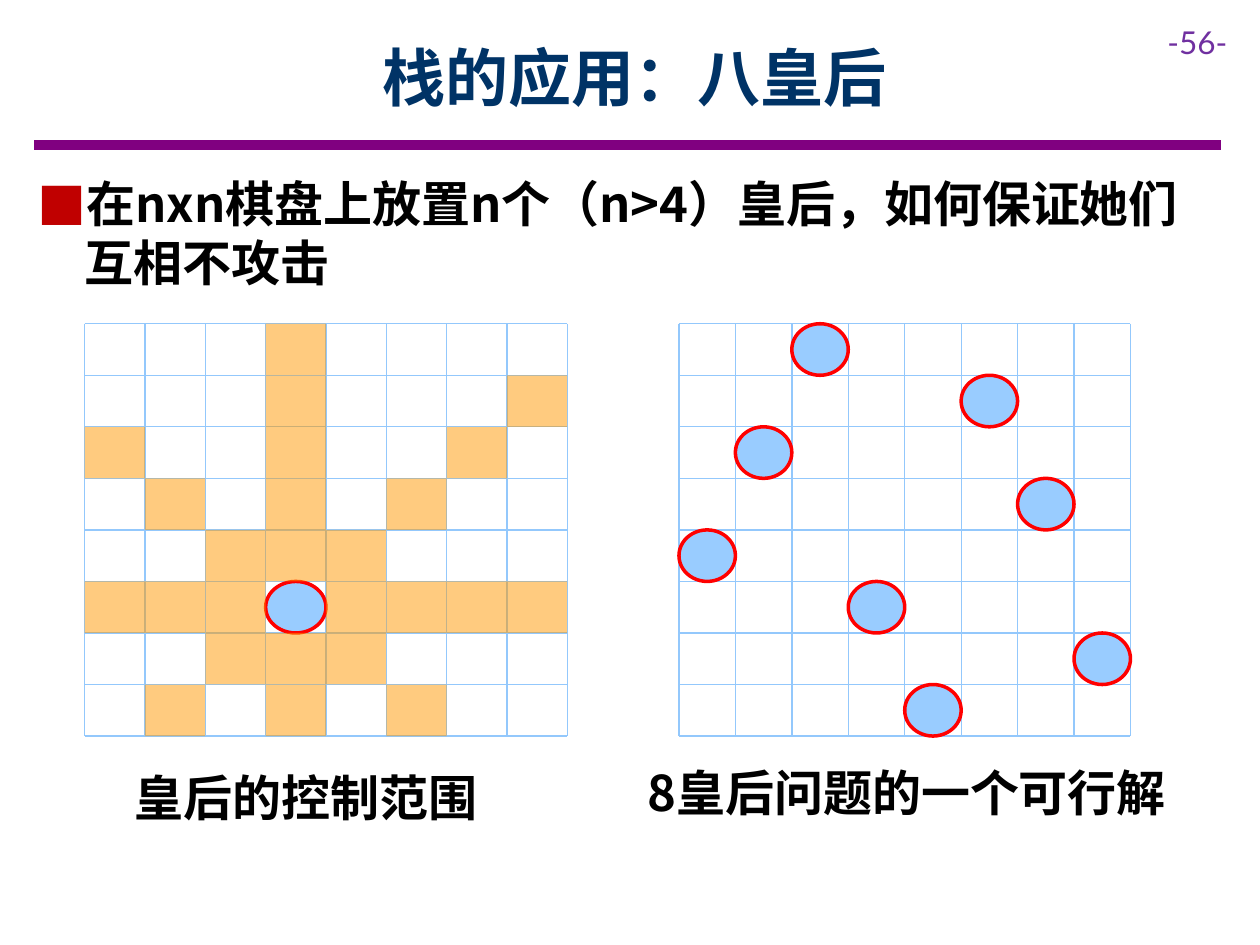
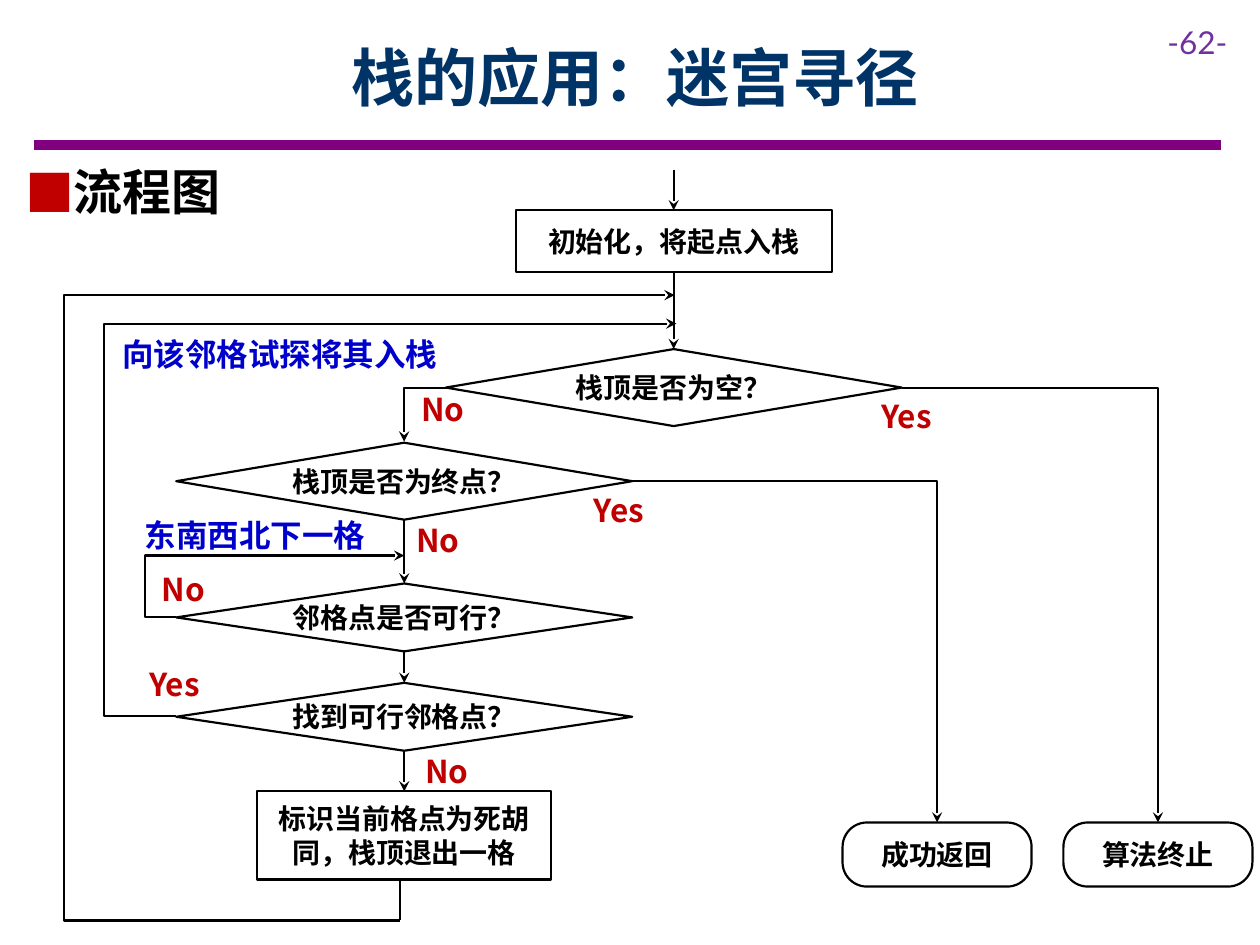
from pptx import Presentation
from pptx.dml.color import RGBColor as RGB
from pptx.enum.shapes import MSO_CONNECTOR as Line, MSO_SHAPE as Form
from pptx.enum.text import MSO_ANCHOR as Anchor, PP_ALIGN as Align
from pptx.oxml.ns import qn
from pptx.util import Pt
from lxml.etree import SubElement

CJK, LATIN = "Noto Sans CJK SC", "Lato"
BLACK, NAVY, BLUE = RGB(0, 0, 0), RGB(0, 0x33, 0x66), RGB(0, 0, 0xCC)
PURPLE, VIOLET = RGB(0x80, 0, 0x80), RGB(0x70, 0x30, 0xA0)
CRIMSON, RED = RGB(0xC0, 0, 0), RGB(0xFF, 0, 0)
GRID, SKY = RGB(0x93, 0xC8, 0xFC), RGB(0x99, 0xCC, 0xFF)
ORANGE = RGB(0xFF, 0x99, 0)

# Queens board: left, top, cell width, cell height
SIZE = 8
REACH = (48.4, 185, 34.47, 29.45)
SOLVED = (388, 185, 32.25, 29.45)
QUEEN = (3, 5)
COLUMNS = [2, 5, 1, 6, 0, 3, 7, 4]
CAPTIONS = [
    ("皇后的控制范围", 70, 435, 236, 41),
    ("8皇后问题的一个可行解", 363, 432, 330, 41),
]

# Flow chart: key, form, text, centre x, top, width, height
NODES = [
    ("init", Form.RECTANGLE, "初始化，将起点入栈", 385, 120.2, 180.7, 35.3),
    ("empty", Form.DIAMOND, "栈顶是否为空？", 385, 199.5, 260.6, 44),
    ("goal", Form.DIAMOND, "栈顶是否为终点？", 231, 253, 260.6, 44),
    ("near", Form.DIAMOND, "邻格点是否可行？", 231, 333.4, 260.6, 38.8),
    ("found", Form.DIAMOND, "找到可行邻格点？", 231, 390.2, 260.6, 38.8),
    ("dead", Form.RECTANGLE, "标识当前格点为死胡同，栈顶退出一格", 231, 452.2, 167.8, 50.4),
    ("done", Form.ROUNDED_RECTANGLE, "成功返回", 535.5, 470, 108, 36.6),
    ("stop", Form.ROUNDED_RECTANGLE, "算法终止", 661.7, 470, 108, 36.6),
]
STEPS = [("init", "empty"), ("goal", "near"), ("near", "found"), ("found", "dead")]
# start, end of turns that go across and then down
TURNS = [
    ((515.5, 221.5), (661.7, 470)),
    ((254.7, 221.5), (231, 252.3)),
    ((361.3, 275), (535.5, 470)),
]
# start, end, x of the upright part
LOOPS = [
    ((100.7, 352.8), (231, 317.5), 82.8),
    ((100.7, 409), (386.5, 185), 59.3),
    ((228.7, 526), (385.5, 168.7), 36.7),
]
# text, colour, left, top, width, height
LABELS = [
    ("向该邻格试探将其入栈", BLUE, 59, 189.4, 201.6, 25.2),
    ("东南西北下一格", BLUE, 75.6, 293, 140.4, 25.2),
    ("No", CRIMSON, 226.8, 221, 52.6, 25.2),
    ("No", CRIMSON, 224, 296, 52.6, 25.2),
    ("No", CRIMSON, 78.5, 324, 52.6, 25.2),
    ("No", CRIMSON, 229, 427.7, 52.6, 25.2),
    ("Yes", CRIMSON, 492.5, 226, 51, 23.8),
    ("Yes", CRIMSON, 321, 279.4, 65.5, 23.8),
    ("Yes", CRIMSON, 74.2, 378.7, 51, 23.8),
]


def write(shape, text, size, color, bold=True, font=CJK, align=Align.LEFT,
          anchor=Anchor.TOP, wrap=True, inset=None, bullet=False):
    frame = shape.text_frame
    frame.word_wrap, frame.vertical_anchor = wrap, anchor
    if inset is not None:
        frame.margin_left = frame.margin_right = Pt(inset)
        frame.margin_top = frame.margin_bottom = Pt(inset)
    para = frame.paragraphs[0]
    para.alignment = align
    if bullet:
        props = para._p.get_or_add_pPr()
        props.set("marL", str(Pt(27)))
        props.set("indent", str(-Pt(27)))
        tint = SubElement(props, qn("a:buClr"))
        SubElement(tint, qn("a:srgbClr"), val=str(CRIMSON))
        SubElement(props, qn("a:buFont"), typeface=CJK)
        SubElement(props, qn("a:buChar"), char="■")
    run = para.add_run()
    run.text = text
    face = run.font
    face.size, face.bold, face.name = Pt(size), bold, font
    face.color.rgb = color
    SubElement(run._r.get_or_add_rPr(), qn("a:ea"), typeface=font)


def label(slide, text, x, y, w, h, size, color, **style):
    box = slide.shapes.add_textbox(Pt(x), Pt(y), Pt(w), Pt(h))
    write(box, text, size, color, **style)


def draw(slide, form, x, y, w, h, fill=None, edge=None, width=1.25, alpha=None):
    shape = slide.shapes.add_shape(form, Pt(x), Pt(y), Pt(w), Pt(h))
    shape.shadow.inherit = False
    if fill is None:
        shape.fill.background()
    else:
        shape.fill.solid()
        shape.fill.fore_color.rgb = fill
    if alpha:
        tint = shape._element.spPr.find(".//" + qn("a:srgbClr"))
        SubElement(tint, qn("a:alpha"), val=str(alpha * 1000))
    if edge is None:
        shape.line.fill.background()
    else:
        shape.line.color.rgb, shape.line.width = edge, Pt(width)
    return shape


def link(slide, start, end, color=BLACK, width=1.25, arrow=False, kind=Line.STRAIGHT):
    wire = slide.shapes.add_connector(kind, *map(Pt, start + end))
    wire.line.color.rgb, wire.line.width = color, Pt(width)
    if arrow:
        SubElement(wire.line._get_or_add_ln(), qn("a:tailEnd"), type="stealth")
    SubElement(wire._element.spPr, qn("a:effectLst"))
    return wire


def turn(slide, start, end):
    wire = link(slide, start, end, arrow=True, kind=Line.ELBOW)
    wire._element.spPr.find(qn("a:prstGeom")).set("prst", "bentConnector2")


def loop(slide, start, end, bend):
    """Elbow that runs sideways to x = bend before it turns to its end."""
    wire = link(slide, start, end, arrow=True, kind=Line.ELBOW)
    geom = wire._element.spPr.find(qn("a:prstGeom"))
    ratio = round((bend - start[0]) / (end[0] - start[0]) * 100000)
    SubElement(geom.get_or_add_avLst(), qn("a:gd"), name="adj1", fmla=f"val {ratio}")


def page(deck, title, number, point, x, y, h):
    slide = deck.slides.add_slide(deck.slide_layouts[6])
    link(slide, (19.6, 82.8), (697.7, 82.8), PURPLE, 6)
    label(slide, f"-{number}-", 660, 9.4, 60, 29, 18, VIOLET, bold=False, font=LATIN)
    label(slide, title, 63.4, 18.7, 598.3, 72, 36, NAVY, align=Align.CENTER)
    label(slide, point, x, y, 682, h, 28, BLACK, bullet=True)
    return slide


def grid(slide, left, top, w, h):
    for i in range(SIZE + 1):
        x, y = left + i * w, top + i * h
        link(slide, (left, y), (left + SIZE * w, y), GRID, 0.75)
        link(slide, (x, top), (x, top + SIZE * h), GRID, 0.75)


def cell(slide, board, col, row, form, **style):
    left, top, w, h = board
    draw(slide, form, left + col * w, top + row * h, w, h, **style)


def queen(slide, board, col, row):
    cell(slide, board, col, row, Form.OVAL, fill=SKY, edge=RED, width=2)


def queens(deck):
    slide = page(deck, "栈的应用：八皇后", 56,
                 "在nxn棋盘上放置n个（n>4）皇后，如何保证她们互相不攻击", 14.4, 95.8, 75)
    grid(slide, *REACH)
    queen(slide, REACH, *QUEEN)
    for row in range(SIZE):
        for col in range(SIZE):
            dx, dy = abs(col - QUEEN[0]), abs(row - QUEEN[1])
            if (dx or dy) and (dx == dy or 0 in (dx, dy)):
                cell(slide, REACH, col, row, Form.RECTANGLE, fill=ORANGE, alpha=50)
    grid(slide, *SOLVED)
    for row, col in enumerate(COLUMNS):
        queen(slide, SOLVED, col, row)
    for text, *place in CAPTIONS:
        label(slide, text, *place, 28, BLACK)


def maze(deck):
    slide = page(deck, "栈的应用：迷宫寻径", 62, "流程图", 7.2, 88.6, 41)
    nodes = {}
    for key, form, text, mid, top, w, h in NODES:
        node = nodes[key] = draw(slide, form, mid - w / 2, top, w, h, edge=BLACK)
        if form == Form.ROUNDED_RECTANGLE:
            node.adjustments[0] = 0.38
        write(node, text, 16, BLACK, align=Align.CENTER, anchor=Anchor.MIDDLE,
              wrap=form != Form.DIAMOND, inset=7.2)
    entry = link(slide, (385, 97), (385, 119), arrow=True)
    entry.end_connect(nodes["init"], 0)
    for first, then in STEPS:
        wire = link(slide, (0, 0), (0, 0), arrow=True)
        wire.begin_connect(nodes[first], 2)
        wire.end_connect(nodes[then], 0)
    for start, end in TURNS:
        turn(slide, start, end)
    for start, end, bend in LOOPS:
        loop(slide, start, end, bend)
    link(slide, (228.7, 502.6), (228.7, 526))
    for text, color, *place in LABELS:
        label(slide, text, *place, 18, color, align=Align.CENTER,
              anchor=Anchor.MIDDLE, wrap=False, inset=7.2)


def main():
    deck = Presentation()
    deck.slide_width, deck.slide_height = Pt(720), Pt(540)
    queens(deck)
    maze(deck)
    deck.save("out.pptx")


if __name__ == "__main__":
    main()
